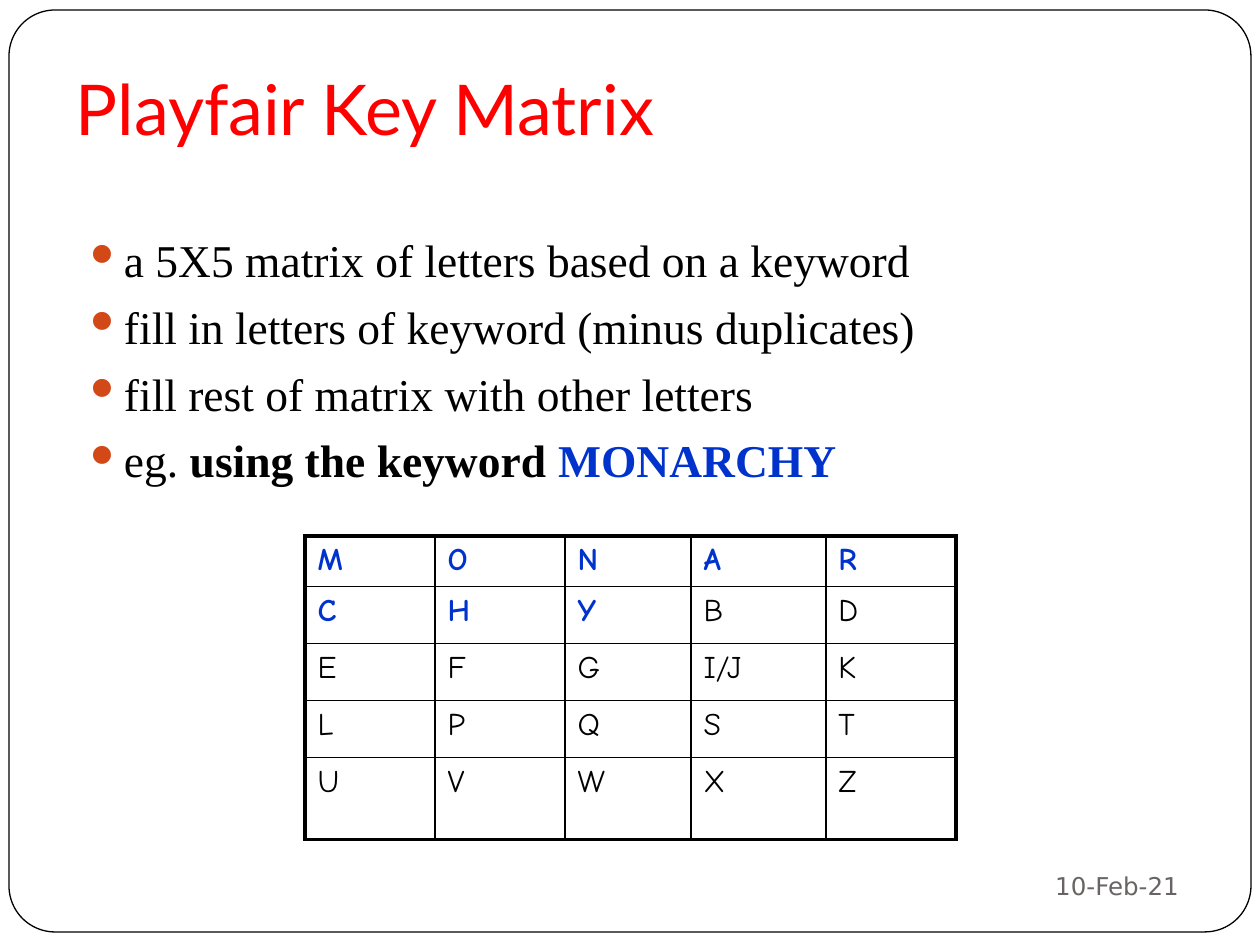
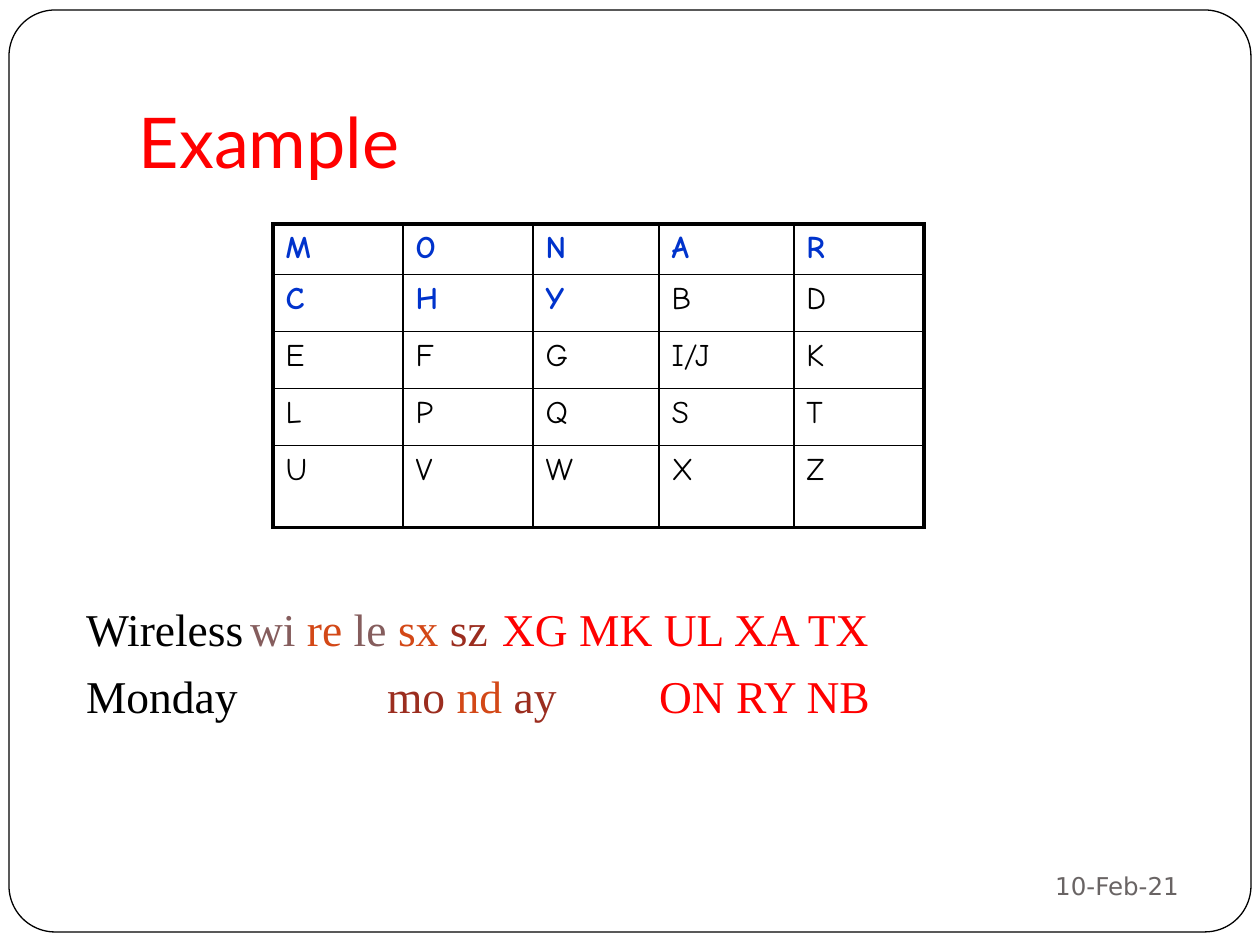
from dataclasses import dataclass

from lxml.etree import SubElement
from pptx import Presentation
from pptx.dml.color import RGBColor
from pptx.enum.shapes import MSO_SHAPE as Shape
from pptx.enum.text import MSO_ANCHOR as Anchor, PP_ALIGN as Align
from pptx.oxml.ns import qn
from pptx.util import Pt


@dataclass(frozen=True)
class Theme:
    black: str = "000000"
    white: str = "FFFFFF"
    red: str = "FF0000"
    blue: str = "0033CC"
    orange: str = "D34817"
    mauve: str = "855D5D"
    brick: str = "9B2D1F"
    grey: str = "696464"
    title_font: str = "Lato"
    body_font: str = "Times New Roman"
    matrix_font: str = "Comic Neue"
    date_font: str = "DejaVu Sans"
    title_size: int = 40
    body_size: int = 26
    matrix_size: int = 18
    date_size: int = 14
    body_gap: int = 7
    thin: float = 1
    thick: float = 2.25
    frame_line: float = 0.75


THEME = Theme()

# Content: a paragraph is a list of (text, format) spans
DATE = "10-Feb-21"
KEYWORD = "MONARCHY"
MATRIX = [
    ["M", "O", "N", "A", "R"],
    ["C", "H", "Y", "B", "D"],
    ["E", "F", "G", "I/J", "K"],
    ["L", "P", "Q", "S", "T"],
    ["U", "V", "W", "X", "Z"],
]
RULES = [
    [("a 5X5 matrix of letters based on a keyword", {})],
    [("fill in letters of keyword (minus duplicates)", {})],
    [("fill rest of matrix with other letters", {})],
    [("eg. ", {}), ("using the keyword ", {"bold": True}),
     (KEYWORD, {"bold": True, "color": THEME.blue})],
]
CIPHERS = [
    [("Wireless\t", {}), ("wi ", {"color": THEME.mauve}), ("re ", {"color": THEME.orange}),
     ("le ", {"color": THEME.mauve}), ("sx ", {"color": THEME.orange}),
     ("sz\t", {"color": THEME.brick}), ("XG MK UL XA TX", {"color": THEME.red})],
    [("Monday\t", {}), ("mo ", {"color": THEME.brick}), ("nd ", {"color": THEME.orange}),
     ("ay\t", {"color": THEME.brick}), ("ON RY NB", {"color": THEME.red})],
]
SLIDES = [
    {"title": "Playfair Key Matrix", "title_box": (63, 32, 1071, 130),
     "body": RULES, "body_box": (73, 221, 1071, 383), "body_format": {"bullet": "⚫"},
     "matrix_at": (305, 536)},
    {"title": "Example", "title_box": (126, 38, 1071, 157),
     "body": CIPHERS, "body_box": (73, 590, 1105, 220),
     "body_format": {"tabs": [(164, 416), (301, 573)]},
     "matrix_at": (273, 224)},
]

# Geometry in px
SLIDE_SIZE = (1260, 945)
FRAME_BOX = (9, 10, 1242, 922)
FRAME_ROUNDING = 0.05
DATE_BOX = (851, 853, 341, 66)
COLUMNS = (130, 130, 126, 135, 130)
ROWS = (50, 57, 57, 57, 82)
INSETS = (13, 6, 13, 6)
TITLE_INSETS = (13, 6, 13, 13)
BODY_INSETS = (13, 11, 13, 6)
HANGING = 38
BULLET_SCALE = 85


def emu(px):
    return round(px * 914400 / 126)


def spot(box):
    return [emu(length) for length in box]


def add_bullet(para, char):
    props = para._p.get_or_add_pPr()
    props.set("marL", str(emu(HANGING)))
    props.set("indent", str(-emu(HANGING)))
    color = SubElement(props, qn("a:buClr"))
    SubElement(color, qn("a:srgbClr"), val=THEME.orange)
    SubElement(props, qn("a:buSzPct"), val=str(BULLET_SCALE * 1000))
    SubElement(props, qn("a:buChar"), char=char)


def add_tabs(para, stops):
    tab_list = SubElement(para._p.get_or_add_pPr(), qn("a:tabLst"))
    for stop in stops:
        SubElement(tab_list, qn("a:tab"), pos=str(emu(stop)), algn="l")


def write(frame, paragraphs, font, size, color=THEME.black, bold=False,
          align=Align.LEFT, gap=0, bullet=None, tabs=None):
    for index, spans in enumerate(paragraphs):
        para = frame.add_paragraph() if index else frame.paragraphs[0]
        para.alignment = align
        if index:
            para.space_before = Pt(gap)
        if bullet:
            add_bullet(para, bullet)
        if tabs:
            add_tabs(para, tabs[index])
        for text, changes in spans:
            span = para.add_run()
            span.text = text
            span.font.name = font
            span.font.size = Pt(size)
            span.font.bold = changes.get("bold", bold)
            span.font.color.rgb = RGBColor.from_string(changes.get("color", color))


def add_text(page, box, paragraphs, insets=INSETS, anchor=Anchor.TOP, **text_format):
    frame = page.shapes.add_textbox(*spot(box)).text_frame
    frame.word_wrap = True
    frame.vertical_anchor = anchor
    (frame.margin_left, frame.margin_top,
     frame.margin_right, frame.margin_bottom) = spot(insets)
    write(frame, paragraphs, **text_format)


def add_borders(cell, row, column):
    props = cell._tc.get_or_add_tcPr()
    outer = {"lnL": column == 0, "lnR": column == len(COLUMNS) - 1,
             "lnT": row == 0, "lnB": row == len(ROWS) - 1}
    for side, is_outer in outer.items():
        width = Pt(THEME.thick if is_outer else THEME.thin)
        line = SubElement(props, qn(f"a:{side}"), w=str(width))
        fill = SubElement(line, qn("a:solidFill"))
        SubElement(fill, qn("a:srgbClr"), val=THEME.black)


def add_matrix(page, corner):
    box = (*corner, sum(COLUMNS), sum(ROWS))
    table = page.shapes.add_table(len(ROWS), len(COLUMNS), *spot(box)).table
    table.first_row = table.horz_banding = False
    for column, width in zip(table.columns, COLUMNS):
        column.width = emu(width)
    for row, height in zip(table.rows, ROWS):
        row.height = emu(height)
    for r, letters in enumerate(MATRIX):
        for c, letter in enumerate(letters):
            cell = table.cell(r, c)
            add_borders(cell, r, c)
            cell.fill.background()
            in_keyword = letter in KEYWORD
            write(cell.text_frame, [[(letter, {})]], font=THEME.matrix_font,
                  size=THEME.matrix_size, bold=in_keyword,
                  color=THEME.blue if in_keyword else THEME.black)


def add_page_frame(page):
    frame = page.shapes.add_shape(Shape.ROUNDED_RECTANGLE, *spot(FRAME_BOX))
    frame.adjustments[0] = FRAME_ROUNDING
    frame.shadow.inherit = False
    frame.fill.solid()
    frame.fill.fore_color.rgb = RGBColor.from_string(THEME.white)
    frame.line.color.rgb = RGBColor.from_string(THEME.black)
    frame.line.width = Pt(THEME.frame_line)


def build_page(deck, content):
    page = deck.slides.add_slide(deck.slide_layouts[6])
    add_page_frame(page)
    add_text(page, content["title_box"], [[(content["title"], {})]],
             insets=TITLE_INSETS, anchor=Anchor.BOTTOM, font=THEME.title_font,
             size=THEME.title_size, color=THEME.red)
    add_text(page, content["body_box"], content["body"], insets=BODY_INSETS,
             font=THEME.body_font, size=THEME.body_size, gap=THEME.body_gap,
             **content["body_format"])
    add_matrix(page, content["matrix_at"])
    add_text(page, DATE_BOX, [[(DATE, {})]], anchor=Anchor.MIDDLE, font=THEME.date_font,
             size=THEME.date_size, color=THEME.grey, align=Align.RIGHT)


def main():
    deck = Presentation()
    deck.slide_width, deck.slide_height = spot(SLIDE_SIZE)
    for content in SLIDES:
        build_page(deck, content)
    deck.save("out.pptx")


if __name__ == "__main__":
    main()
